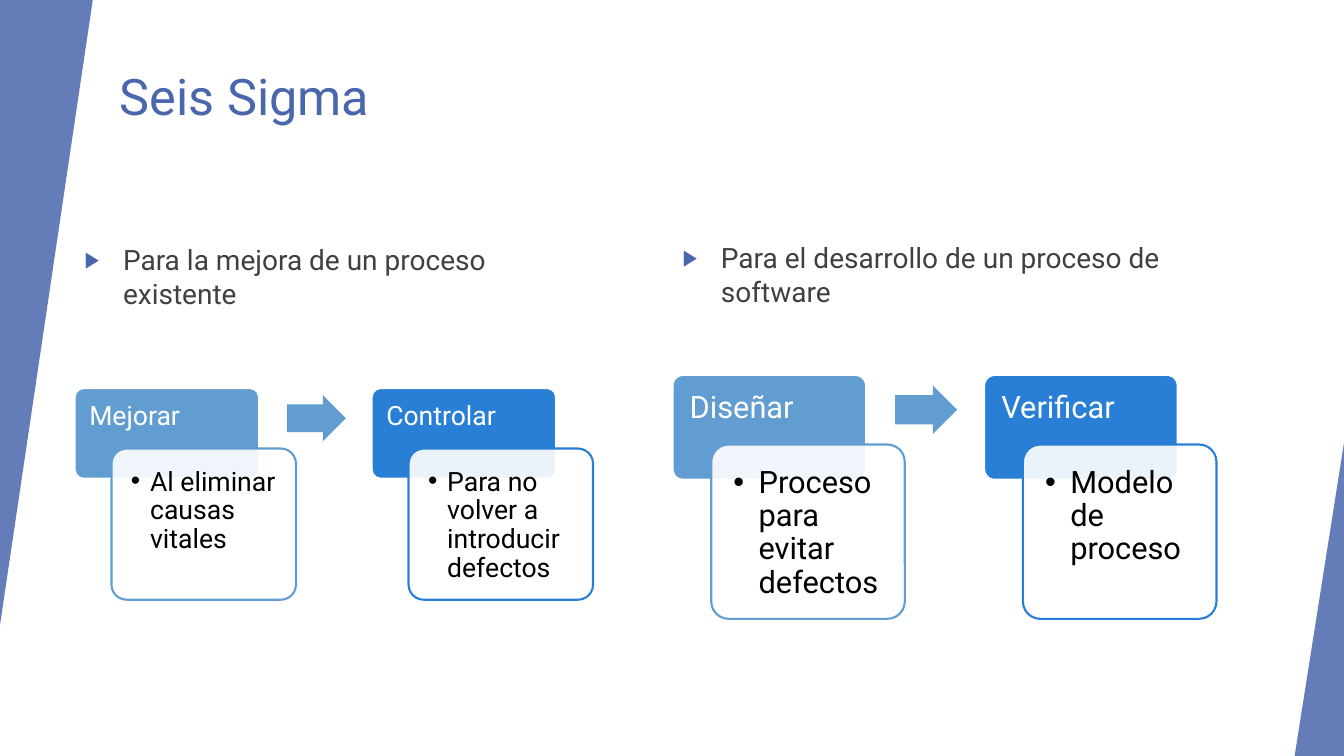
from dataclasses import dataclass

from lxml.etree import SubElement
from pptx import Presentation
from pptx.dml.color import RGBColor as Rgb
from pptx.enum.shapes import MSO_SHAPE as Shape
from pptx.enum.text import MSO_ANCHOR as Anchor
from pptx.enum.text import MSO_AUTO_SIZE as Fit
from pptx.enum.text import PP_ALIGN as Align
from pptx.oxml.ns import qn
from pptx.util import Inches, Pt

FONT = "Roboto"
COLORS = {
    "navy": "4A66AC",
    "sky": "629DD1",
    "blue": "297FD5",
    "gray": "404040",
    "black": "000000",
    "white": "FFFFFF",
}


@dataclass
class Box:
    left: float
    top: float
    width: float
    height: float


@dataclass
class Step:
    head: str
    note: str
    color: str


@dataclass
class Flow:
    goal: str
    list_box: Box
    left: float
    top: float
    width: float
    head_high: float
    card_drop: float
    card_high: float
    size: int
    pad: float
    indent: float
    steps: list[Step]


FLOWS = [
    Flow("Para la mejora de un proceso existente", Box(0.74, 2.36, 5.16, 0.66),
         0.74, 3.85, 1.83, 0.9, 0.6, 1.5, 19, 0.15, 0.19,
         [Step("Mejorar", "Al eliminar causas vitales", "sky"),
          Step("Controlar", "Para no volver a introducir defectos", "blue")]),
    Flow("Para el desarrollo de un proceso de software", Box(6.67, 2.34, 5.4, 0.69),
         6.67, 3.72, 1.92, 1.04, 0.69, 1.73, 22, 0.17, 0.25,
         [Step("Diseñar", "Proceso para evitar defectos", "sky"),
          Step("Verificar", "Modelo de proceso", "blue")]),
]


def rgb(name: str) -> Rgb:
    return Rgb.from_string(COLORS[name])


def place(shape, box: Box) -> None:
    shape.left, shape.top = Inches(box.left), Inches(box.top)
    shape.width, shape.height = Inches(box.width), Inches(box.height)


def write(shape, words: str, *, size: int, color: str, pads=(0.1, 0.05, 0.1, 0.05),
          line: float = 1.0, level: int = 0, bullet: str = "", tint: str = "",
          scale: int = 100, indent: float = 0) -> None:
    frame = shape.text_frame
    frame.word_wrap = True
    frame.auto_size = Fit.NONE
    frame.vertical_anchor = Anchor.TOP
    frame.margin_left, frame.margin_top, frame.margin_right, frame.margin_bottom = map(Inches, pads)
    para = frame.paragraphs[0]
    para.alignment = Align.LEFT
    para.level = level
    para.line_spacing = line
    para.space_before = Pt(0)
    run = para.add_run()
    run.text = words
    run.font.name = FONT
    run.font.size = Pt(size)
    run.font.color.rgb = rgb(color)
    if bullet:
        props = para._p.get_or_add_pPr()
        props.set("marL", str(Inches(indent)))
        props.set("indent", str(-Inches(indent)))
        paint = SubElement(props, qn("a:buClr"))
        SubElement(paint, qn("a:srgbClr"), val=COLORS[tint or color])
        SubElement(props, qn("a:buSzPct"), val=str(scale * 1000))
        SubElement(props, qn("a:buFont"), typeface="Arial")
        SubElement(props, qn("a:buChar"), char=bullet)


def draw(slide, kind: Shape, box: Box, fill: str, *, line: str = "",
         alpha: int = 100, adjust=(), turn: int = 0):
    shape = slide.shapes.add_shape(kind, 0, 0, 0, 0)
    place(shape, box)
    shape.rotation = turn
    shape.shadow.inherit = False
    for index, value in enumerate(adjust):
        shape.adjustments[index] = value
    shape.fill.solid()
    shape.fill.fore_color.rgb = rgb(fill)
    if alpha < 100:
        paint = shape.element.spPr.find(qn("a:solidFill")).find(qn("a:srgbClr"))
        SubElement(paint, qn("a:alpha"), val=str(alpha * 1000))
    if line:
        shape.line.color.rgb = rgb(line)
        shape.line.width = Pt(1.5)
    else:
        shape.line.fill.background()
    return shape


def draw_step(slide, flow: Flow, step: Step, left: float) -> None:
    wide, pad = flow.width, flow.pad
    head = draw(slide, Shape.ROUNDED_RECTANGLE, Box(left, flow.top, wide, flow.head_high),
                step.color, line="white", adjust=[0.1])
    rim = pad - 0.03
    write(head, step.head, size=flow.size, color="white", line=0.9, pads=(rim, rim, rim, 0.08))
    spot = Box(left + 0.2 * wide, flow.top + flow.card_drop, wide, flow.card_high)
    card = draw(slide, Shape.ROUNDED_RECTANGLE, spot, "white",
                line=step.color, alpha=90, adjust=[0.1])
    write(card, step.note, size=flow.size, color="black", line=0.9, level=1,
          pads=(pad, pad, 0.1, pad), bullet="•", indent=flow.indent)


def draw_flow(slide, flow: Flow) -> None:
    wide = flow.width
    for index, step in enumerate(flow.steps):
        left = flow.left + index * 1.61 * wide
        if index:
            high = 0.25 * wide
            draw(slide, Shape.RIGHT_ARROW,
                 Box(left - 0.46 * wide, flow.top + (flow.card_drop - high) / 2, 0.32 * wide, high),
                 "sky", adjust=[0.6, 0.5])
        draw_step(slide, flow, step, left)


def main() -> None:
    deck = Presentation()
    deck.slide_width, deck.slide_height = Inches(13.33), Inches(7.5)
    slide = deck.slides.add_slide(deck.slide_layouts[3])
    title, *lists = slide.placeholders
    draw(slide, Shape.ISOSCELES_TRIANGLE, Box(0, 0, 0.92, 6.2), "navy",
         alpha=85, adjust=[1], turn=180)
    draw(slide, Shape.ISOSCELES_TRIANGLE, Box(12.84, 4.39, 0.49, 3.11), "navy",
         alpha=85, adjust=[1])
    place(title, Box(1.09, 0.6, 9.4, 1.44))
    write(title, "Seis Sigma", size=36, color="navy")
    for goal, flow in zip(lists, FLOWS):
        place(goal, flow.list_box)
        write(goal, flow.goal, size=20, color="gray", bullet="▶", tint="navy",
              scale=80, indent=0.38)
        draw_flow(slide, flow)
    deck.save("out.pptx")


if __name__ == "__main__":
    main()
